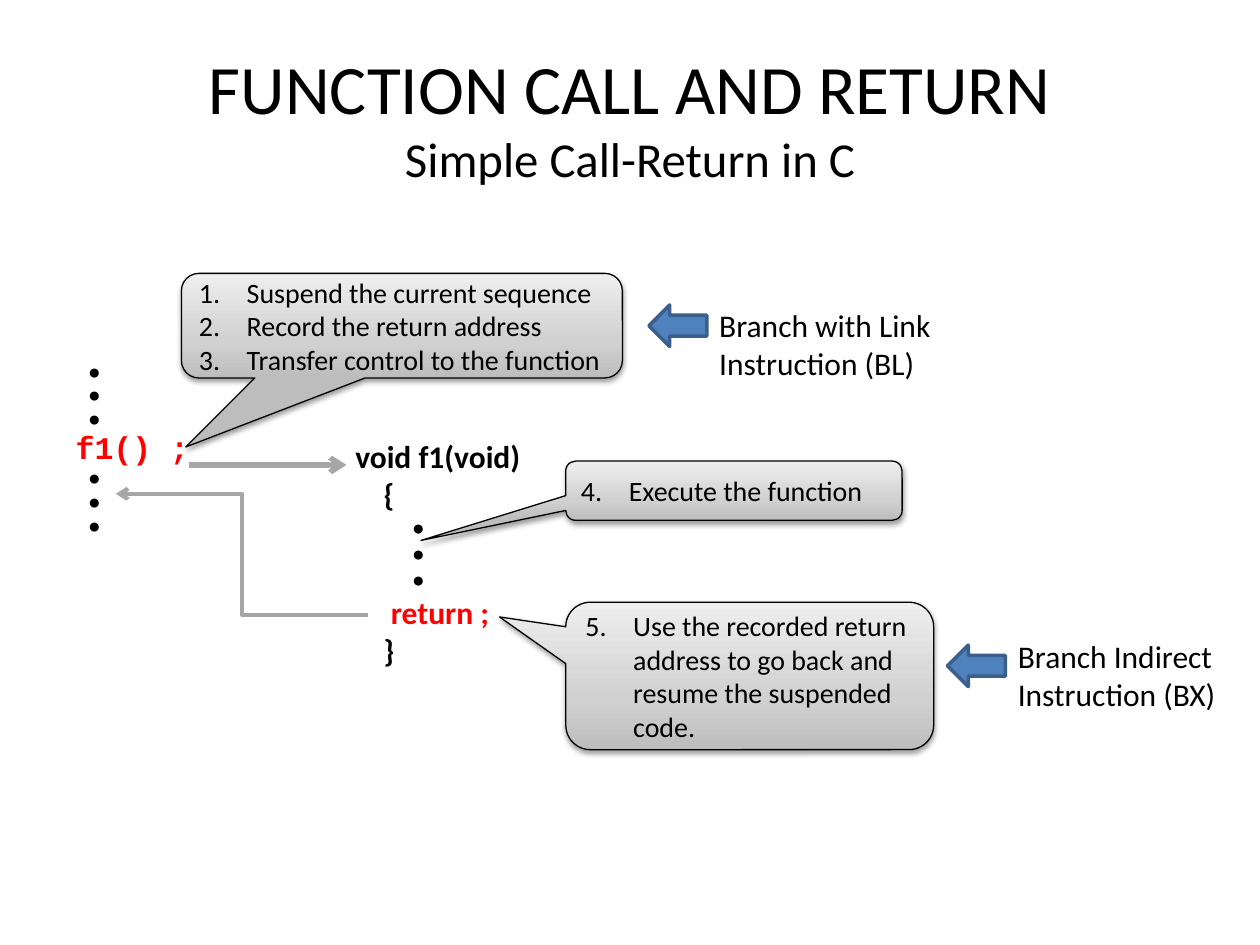
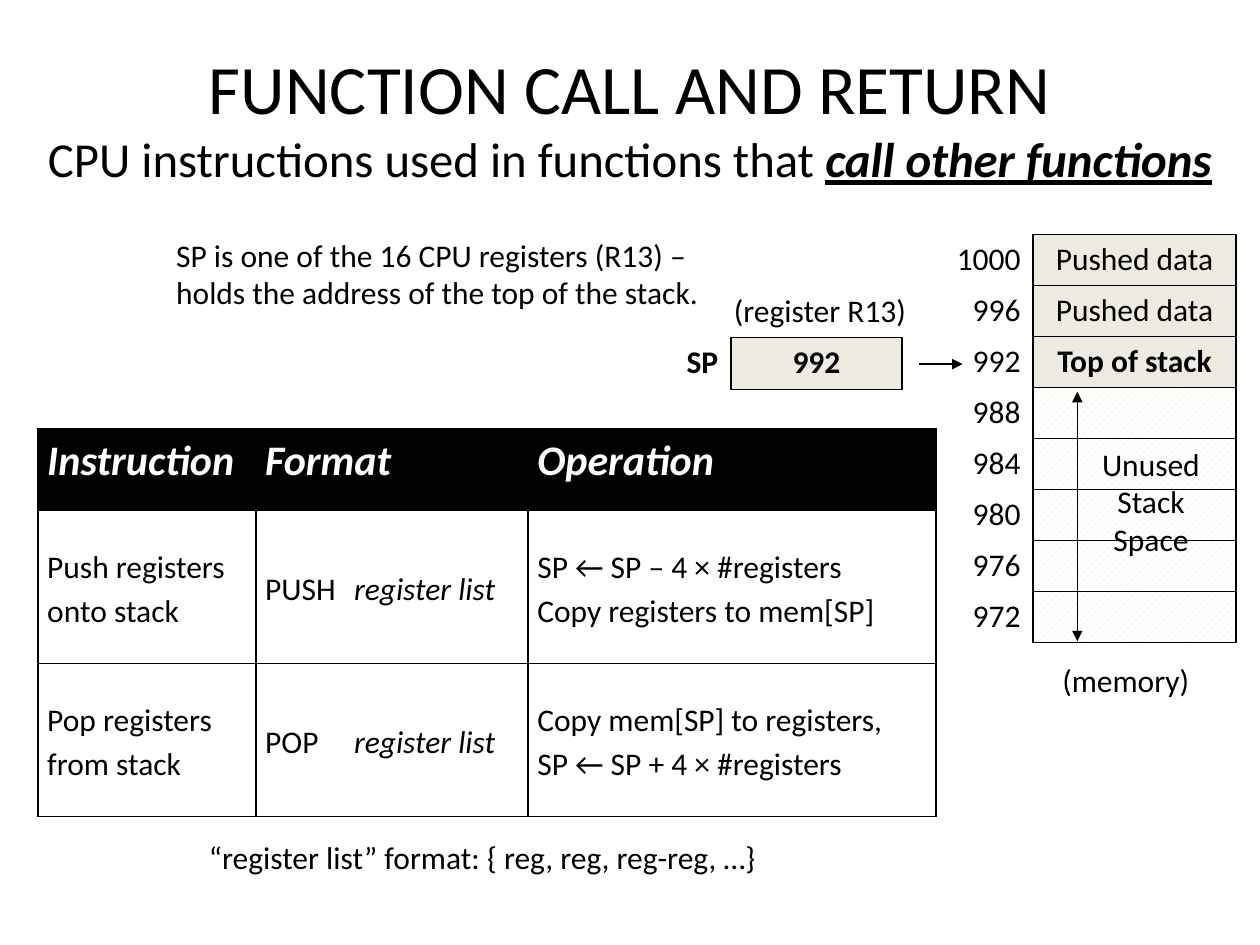
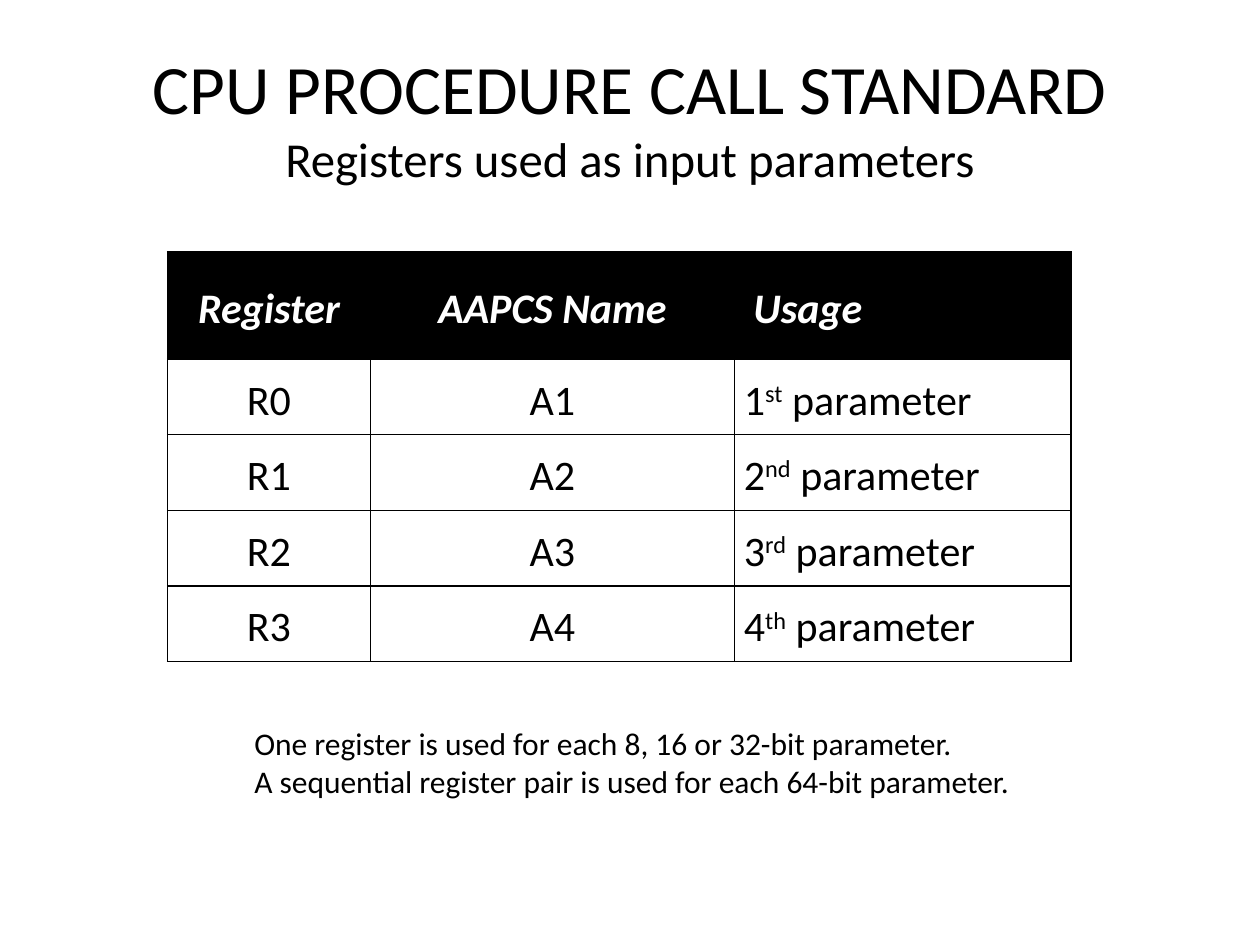
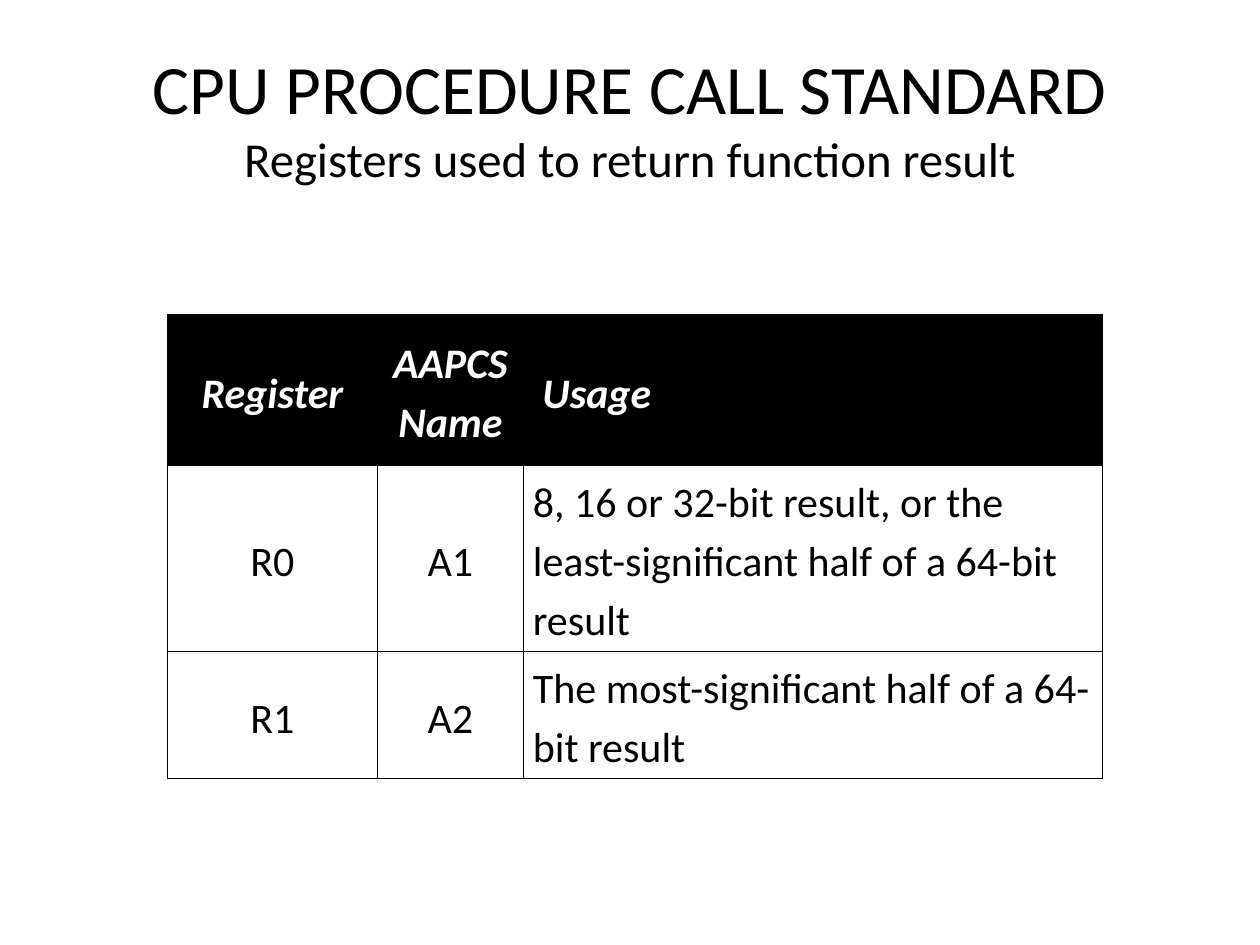
from copy import deepcopy
from dataclasses import dataclass

from lxml import etree
from pptx import Presentation
from pptx import util as u
from pptx.dml.color import RGBColor
from pptx.enum import dml, shapes, text
from pptx.oxml.ns import qn

CELL = u.Inches(0.1)  # the slide is a grid of 100 columns by 75 rows
PLAIN = "{2D5ABB26-0587-4C30-8999-92F81FD0307C}"
LEFT, MID, RIGHT = text.PP_ALIGN.LEFT, text.PP_ALIGN.CENTER, text.PP_ALIGN.RIGHT
TOP, HALF = text.MSO_ANCHOR.TOP, text.MSO_ANCHOR.MIDDLE


@dataclass(frozen=True)
class Theme:
    ink: str = "000000"
    paper: str = "FFFFFF"
    alert: str = "FF0000"
    sand: str = "EEECE1"
    flow: str = "A6A6A6"
    arrow: str = "4F81BD"
    rim: str = "3A5F8C"
    shade: tuple = ((0, "BDBDBD"), (0.35, "D1D1D1"), (1, "EEEEEE"))
    face: str = "Calibri"
    mono: str = "Courier New"
    title: float = 39.6
    sub: float = 27.9
    head: float = 24
    body: float = 18
    step: float = 16
    dot: float = 12


T = Theme()


@dataclass(frozen=True)
class Box:
    """A region measured in grid cells."""
    x: float
    y: float
    w: float
    h: float

    def sub(self, x, y, w, h):
        return Box(self.x + x, self.y + y, w, h)

    def point(self, x, y):
        return span(self.x + x), span(self.y + y)

    @property
    def size(self):
        return [span(n) for n in (self.x, self.y, self.w, self.h)]


def span(cells):
    return u.Emu(round(cells * CELL))


def rgb(code):
    return RGBColor.from_string(code)


# ---- text ----

def style(run, size=T.body, color=T.ink, face=T.face, bold=False,
          ital=False, under=False, lift=0):
    font = run.font
    font.size, font.name = u.Pt(size), face
    font.bold, font.italic, font.underline = bold, ital, under
    font.color.rgb = rgb(color)
    if lift:
        run._r.get_or_add_rPr().set("baseline", str(lift * 1000))


def write(para, parts, **look):
    """Fill a paragraph from a string or from (words, look) pairs."""
    if isinstance(parts, str):
        para.text = parts
        for run in para.runs:
            style(run, **look)
        return
    for words, more in parts:
        for i, line in enumerate(words.split("\n")):
            if i:
                para.add_line_break()
            if line:
                run = para.add_run()
                run.text = line
                style(run, **{**look, **more})


def fill(frame, paras, align=LEFT, gap=None, start=None, **look):
    """Write the paragraphs, numbered when start is given."""
    for i, parts in enumerate(paras):
        para = frame.add_paragraph() if i else frame.paragraphs[0]
        para.alignment = align
        if gap:
            para.line_spacing = gap
        if start:
            number(para, start)
        write(para, parts, **look)


def number(para, start):
    props = para._p.get_or_add_pPr()
    indent = u.Inches(0.38)
    props.set("marL", str(indent))
    props.set("indent", str(-indent))
    etree.SubElement(props, qn("a:buFont"), typeface="+mj-lt")
    mark = etree.SubElement(props, qn("a:buAutoNum"), type="arabicPeriod")
    if start > 1:
        mark.set("startAt", str(start))


def label(parent, box, *paras, anchor=TOP, **look):
    frame = parent.shapes.add_textbox(*box.size).text_frame
    frame.word_wrap = True
    frame.vertical_anchor = anchor
    fill(frame, paras, **look)


def title(slide, box, head, *subs):
    parts = [(head + "\n", {"size": T.title})]
    parts += [(words, {"size": T.sub, **more}) for words, more in subs]
    label(slide, box, parts, anchor=HALF, align=MID)


# ---- lines, tables ----

def line(slide, start, end, color=T.ink, width=0.75, elbow=False, **tips):
    """Draw a line; tips are headEnd and tailEnd arrow types."""
    kind = shapes.MSO_CONNECTOR.ELBOW if elbow else shapes.MSO_CONNECTOR.STRAIGHT
    link = slide.shapes.add_connector(kind, *start, *end)
    link.line.width = u.Pt(width)
    link.line.color.rgb = rgb(color)
    for tag, shape in tips.items():
        etree.SubElement(link.line._get_or_add_ln(), qn("a:" + tag), type=shape)
    etree.SubElement(link._element.spPr, qn("a:effectLst"))


def grid(slide, box, cols, rows):
    """Add a table without style; cols and rows are in grid cells."""
    table = slide.shapes.add_table(len(rows), len(cols), *box.size).table
    props = table._tbl.tblPr
    table.first_row = table.horz_banding = False
    props.find(qn("a:tableStyleId")).text = PLAIN
    for col, wide in zip(table.columns, cols):
        col.width = span(wide)
    for row, high in zip(table.rows, rows):
        row.height = span(high)
    return table


def put(cell, *paras, back=None, sides="LRTB", inset=(1, 0.5, 1, 0.5),
        anchor=TOP, **look):
    """Set a table cell's borders, fill, margins and text."""
    props = cell._tc.get_or_add_tcPr()
    for side in "LRTB":
        edge = etree.SubElement(props, qn("a:ln" + side), w=str(u.Pt(1)))
        if side in sides:
            solid = etree.SubElement(edge, qn("a:solidFill"))
            etree.SubElement(solid, qn("a:srgbClr"), val=T.ink)
        else:
            etree.SubElement(edge, qn("a:noFill"))
    if back:
        cell.fill.solid()
        cell.fill.fore_color.rgb = rgb(back)
    else:
        cell.fill.background()
    (cell.margin_left, cell.margin_top,
     cell.margin_right, cell.margin_bottom) = map(span, inset)
    cell.vertical_anchor = anchor
    fill(cell.text_frame, paras, **look)


# ---- regions of the call and return slide ----

def code(slide, box):
    half = box.w / 2
    table = grid(slide, box, [half, half], [box.h])
    mono = {"face": T.mono, "size": T.dot}
    dots = [[(" ●", mono)]] * 3
    call = [("f1() ;", {"face": T.mono, "color": T.alert})]
    put(table.cell(0, 0), *dots, call, *dots, back=T.paper, sides="", bold=True)
    dots = [[("            ", {"size": T.dot}), ("●", mono)]] * 3
    back = [("     ", {}), ("return ;", {"color": T.alert})]
    put(table.cell(0, 1), "void f1(void)", "    {", *dots, back, "    }",
        back=T.paper, sides="", inset=(1, 6.6, 1, 0.5), bold=True)
    grey = {"color": T.flow, "tailEnd": "arrow"}
    line(slide, box.point(10, 8.7), box.point(22.5, 8.7), width=3, **grey)
    line(slide, box.point(24.2, 20.6), box.point(4.2, 11), width=2.25,
         elbow=True, **grey)


def callout(slide, box, tip, start, *steps):
    bubble = slide.shapes.add_shape(
        shapes.MSO_SHAPE.ROUNDED_RECTANGULAR_CALLOUT, *box.size)
    bubble.adjustments[0], bubble.adjustments[1] = tip
    paint = bubble.fill
    paint.gradient()
    paint.gradient_angle = 90
    props = bubble._element.spPr
    stops = props.find(".//" + qn("a:gsLst"))
    stops.append(deepcopy(stops[1]))
    for stop, (place, color) in zip(paint.gradient_stops, T.shade):
        stop.position, stop.color.rgb = place, rgb(color)
    bubble.line.color.rgb = rgb(T.ink)
    bubble.line.width = u.Pt(0.75)
    bubble.shadow.inherit = False
    cast = etree.SubElement(
        props.find(qn("a:effectLst")), qn("a:outerShdw"),
        blurRad=str(u.Pt(3.1)), dist=str(u.Pt(1.6)), dir="5400000", rotWithShape="0")
    tint = etree.SubElement(cast, qn("a:srgbClr"), val=T.ink)
    etree.SubElement(tint, qn("a:alpha"), val="38000")
    frame = bubble.text_frame
    frame.word_wrap = True
    frame.vertical_anchor = HALF
    fill(frame, steps, start=start, size=T.step)


def hint(slide, box, drop, words):
    """Arrow pointing left, with its text to the right."""
    group = slide.shapes.add_group_shape()
    mark = group.shapes.add_shape(shapes.MSO_SHAPE.LEFT_ARROW,
                                  *box.sub(0, drop, 4.6, 3.3).size)
    mark.shadow.inherit = False
    mark.fill.solid()
    mark.fill.fore_color.rgb = rgb(T.arrow)
    mark.line.color.rgb = rgb(T.rim)
    mark.line.width = u.Pt(2)
    label(group, box.sub(4.6, 0, box.w - 4.6, box.h), words)


# ---- regions of the stack slide ----

def orders(slide, box):
    """Table of the push and pop instructions."""
    table = grid(slide, box, [17.3, 7.8, 13.8, 32.4], [6.5, 12.15, 12.15])
    table.cell(0, 1).merge(table.cell(0, 2))
    for col, head in ((0, "Instruction"), (1, "Format"), (3, "Operation")):
        put(table.cell(0, col), head, back=T.ink, inset=(0.75, 0, 0.75, 0),
            gap=1.15, size=T.head, color=T.paper, bold=True, ital=True)
    body = (
        ("Push registers onto stack", "PUSH",
         "SP ← SP – 4 × #registers\nCopy registers to mem[SP]"),
        ("Pop registers from stack", "POP",
         "Copy mem[SP] to registers,\nSP ← SP + 4 × #registers"),
    )
    look = {"anchor": HALF, "gap": 1.15}
    for r, (use, name, work) in enumerate(body, 1):
        put(table.cell(r, 0), use, inset=(0.75, 0.4, 0, 0.4), **look)
        put(table.cell(r, 1), name, sides="LTB", inset=(0.75, 0.4, 0.75, 0.4), **look)
        put(table.cell(r, 2), "register list", sides="RTB", ital=True,
            inset=(0, 0.4, 0, 0.4), **look)
        put(table.cell(r, 3), work, inset=(0.75, 0.4, 0.75, 0.4), **look)


def stack(slide, box):
    """Memory words by address, the used ones on top."""
    used = ("Pushed data", "Pushed data", "Top of stack")
    count = 8
    table = grid(slide, box, [9.1, 16.1], [box.h / count] * count)
    for r in range(count):
        put(table.cell(r, 0), str(1000 - 4 * r), sides="R", align=RIGHT)
        word = table.cell(r, 1)
        if r < len(used):
            put(word, used[r], back=T.sand, align=MID, bold=r == len(used) - 1)
        else:
            put(word)
            word.fill.patterned()
            word.fill.pattern = dml.MSO_PATTERN.WIDE_UPWARD_DIAGONAL
            word.fill.fore_color.rgb = rgb(T.sand)
            word.fill.back_color.rgb = rgb(T.paper)
    label(slide, box.sub(7.7, 33.4, 17.5, 4), "(memory)", align=MID)
    label(slide, box.sub(10.4, 16.2, 16.1, 10), "Unused\nStack", "Space", align=MID)
    line(slide, box.point(12.6, 12.5), box.point(12.6, 32.3),
         headEnd="triangle", tailEnd="triangle")


def pointer(slide, box):
    """The SP register and its arrow to the stack."""
    table = grid(slide, box, [10, 13.6], [box.h])
    put(table.cell(0, 0), "SP", sides="R", align=RIGHT, bold=True)
    put(table.cell(0, 1), "992", back=T.sand, align=MID, bold=True)
    line(slide, box.point(24.9, 2.1), box.point(28.4, 2.1), tailEnd="triangle")
    label(slide, box.sub(7.4, -4.2, 17.5, 4), "(register R13)", align=RIGHT)


# ---- region of both standard slides ----

def usage(slide, box, cols, rows, name, uses):
    """Table of registers R0.. with names A1.. and their uses."""
    table = grid(slide, box, cols, rows)
    for c, head in enumerate(("Register", name, "Usage")):
        last = c == 2
        put(table.cell(0, c), head, back=T.ink, anchor=HALF, gap=1.15,
            inset=(1.5 if last else 0, 0, 0, 0), align=LEFT if last else MID,
            size=T.head, color=T.paper, bold=True, ital=True)
    for r, use in enumerate(uses):
        for c, words in enumerate((f"R{r}", f"A{r + 1}", use)):
            put(table.cell(r + 1, c), words, anchor=HALF, gap=1.15,
                inset=(0.75, 0.4, 0.75, 0.4), align=MID if c < 2 else LEFT,
                size=T.head)


# ---- slides ----

HEAD = Box(5, 3, 90, 12.5)
CALL = "FUNCTION CALL AND RETURN"
RULES = "CPU PROCEDURE CALL STANDARD"


def flow(slide):
    title(slide, HEAD, CALL, ("Simple Call-Return in C", {}))
    code(slide, Box(5, 28.2, 44.4, 26.4))
    callout(slide, Box(14.4, 21.7, 35, 8.3), (-0.49, 1.16), 1,
            "Suspend the current sequence", "Record the return address",
            "Transfer control to the function")
    callout(slide, Box(44.9, 36.6, 26.7, 4.7), (-0.93, 0.84), 4,
            "Execute the function")
    callout(slide, Box(44.9, 47.8, 29.2, 11.7), (-0.68, -0.4), 5,
            "Use the recorded return address to go back and resume "
            "the suspended code.")
    hint(slide, Box(51.5, 23.8, 24.6, 7.1), 0.4, "Branch with Link Instruction (BL)")
    hint(slide, Box(75.2, 50.1, 23.6, 7.1), 1.1, "Branch Indirect Instruction (BX)")


def memory(slide):
    title(slide, Box(0, HEAD.y, 100, HEAD.h), CALL,
          ("CPU instructions used in functions that ", {}),
          ("call other functions", {"bold": True, "ital": True, "under": True}))
    orders(slide, Box(3, 34, 71.3, 30.8))
    label(slide, Box(13, 18.2, 48.3, 7.1),
          "SP is one of the 16 CPU registers (R13) – "
          "holds the address of the top of the stack.")
    stack(slide, Box(72.9, 18.6, 25.2, 32.4))
    pointer(slide, Box(48, 26.8, 23.6, 4.1))
    label(slide, Box(15.6, 66, 46.2, 4),
          "“register list” format: { reg, reg, reg-reg, …}")


def inputs(slide):
    title(slide, HEAD, RULES, ("Registers used as input parameters", {}))
    uses = [[(str(n), {}), (end, {"lift": 30}), (" parameter", {})]
            for n, end in enumerate(("st", "nd", "rd", "th"), 1)]
    usage(slide, Box(13.3, 20, 71.7, 32.5), [16.1, 28.9, 26.7],
          [8.5] + [6] * 4, "AAPCS Name", uses)
    label(slide, Box(19.2, 57, 63.3, 7.1),
          "One register is used for each 8, 16 or 32-bit parameter.",
          "A sequential register pair is used for each 64-bit parameter.")


def results(slide):
    title(slide, HEAD, RULES, ("Registers used to return function result", {}))
    usage(slide, Box(13.3, 25, 74.2, 36.5), [16.65, 11.6, 45.95],
          [11.9, 14.8, 10.1], "AAPCS\nName",
          ("8, 16 or 32-bit result, or the least-significant half "
           "of a 64-bit result",
           "The most-significant half of a 64-bit result"))


def main():
    deck = Presentation()
    deck.slide_width, deck.slide_height = span(100), span(75)
    for draw in (flow, memory, inputs, results):
        draw(deck.slides.add_slide(deck.slide_layouts[6]))
    deck.save("out.pptx")


if __name__ == "__main__":
    main()
